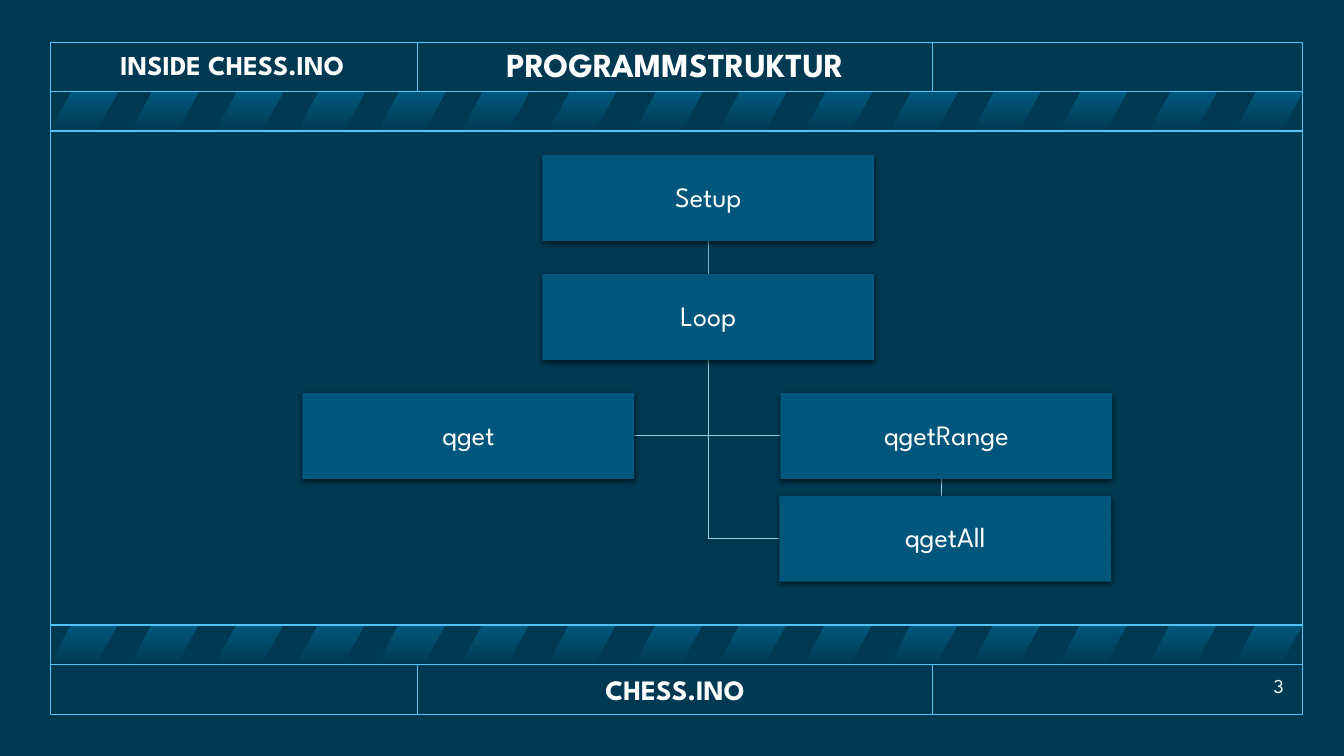
from lxml.etree import SubElement
from pptx import Presentation
from pptx.dml.color import RGBColor
from pptx.enum.shapes import MSO_CONNECTOR, MSO_SHAPE
from pptx.enum.text import MSO_ANCHOR, MSO_AUTO_SIZE, PP_ALIGN
from pptx.oxml.ns import qn
from pptx.util import Inches, Pt

prs = Presentation()
prs.slide_width, prs.slide_height = Inches(13.33), Inches(7.5)
s = prs.slides.add_slide(prs.slide_layouts[5])
shapes = s.shapes
rgb = RGBColor.from_string
s.background.fill.solid()
s.background.fill.fore_color.rgb = rgb("003A52")


def stroke(sp, color):
    sp.line.color.rgb = rgb(color)
    sp.line.width = Pt(1)
    SubElement(sp._element.spPr, qn("a:effectLst"))


def write(sp, text, size, bold=False, align=PP_ALIGN.CENTER):
    tf = sp.text_frame
    tf.text = text
    tf.word_wrap = True
    tf.auto_size = MSO_AUTO_SIZE.NONE
    tf.vertical_anchor = MSO_ANCHOR.MIDDLE
    p = tf.paragraphs[0]
    p.alignment = align
    p.line_spacing = 0.9
    font = p.runs[0].font
    font.name, font.size, font.bold = "League Spartan", Pt(size), bold
    font.color.rgb = rgb("FFFFFF")


# Frame grid: column edges and row edges
left, col1, col2, right = 0.5, 4.14, 9.25, 12.92
top, head, band_top, band_low, foot, bottom = 0.42, 0.91, 1.3, 6.2, 6.59, 7.09

frame = shapes.add_shape(MSO_SHAPE.RECTANGLE, Inches(left), Inches(top),
                         Inches(right - left), Inches(bottom - top))
frame.fill.background()
stroke(frame, "51C3F9")

# Striped bands
stripe_lefts = [0.5, 1.3, 2.14, 2.95, 3.75, 4.58, 5.44, 6.3,
                7.13, 7.98, 8.83, 9.65, 10.51, 11.4, 12.25]
for y in (head, 6.19):
    for x in stripe_lefts:
        stripe = shapes.add_shape(MSO_SHAPE.PARALLELOGRAM, Inches(x), Inches(y),
                                  Inches(0.67), Inches(0.39))
        stripe.adjustments[0] = 0.54
        stripe.fill.gradient()
        stripe.fill.gradient_angle = 90
        for stop, color in zip(stripe.fill.gradient_stops, ("003A52", "00587D")):
            stop.color.rgb = rgb(color)
        stripe.line.fill.background()
        stripe.shadow.inherit = False

# Diagram boxes: name, left, top
box_w, box_h = 3.29, 0.85
boxes = [("Setup", 5.38, 1.54), ("Loop", 5.38, 2.72), ("qget", 3, 3.9),
         ("qgetRange", 7.74, 3.9), ("qgetAll", 7.73, 4.92)]
trunk, loop_end = 7.03, 3.57

# Straight lines: grid rules, then diagram links
lines = [(left, y, right, y, "51C3F9") for y in (head, band_top, band_low, foot)]
lines += [(x, y1, x, y2, "51C3F9") for x in (col1, col2)
          for y1, y2 in ((top, head), (foot, bottom))]
lines += [(9.34, 4.54, 9.34, 5.17, "A0CEDF"), (trunk, 2.39, trunk, 2.72, "73BCD4")]
for x1, y1, x2, y2, color in lines:
    line = shapes.add_connector(MSO_CONNECTOR.STRAIGHT, Inches(x1), Inches(y1),
                                Inches(x2), Inches(y2))
    stroke(line, color)

# Elbow links from Loop to its functions
for x, y in ((7.73, 5.34), (7.74, 4.32), (6.29, 4.32)):
    path = shapes.build_freeform(Inches(trunk), Inches(loop_end))
    path.add_line_segments([(Inches(trunk), Inches(y)), (Inches(x), Inches(y))],
                           close=False)
    elbow = path.convert_to_shape()
    elbow.fill.background()
    stroke(elbow, "A1CEDF")

# Boxes with a soft shadow below
for name, x, y in boxes:
    box = shapes.add_shape(MSO_SHAPE.RECTANGLE, Inches(x), Inches(y),
                           Inches(box_w), Inches(box_h))
    box.fill.solid()
    box.fill.fore_color.rgb = rgb("00577B")
    box.line.fill.background()
    effects = SubElement(box._element.spPr, qn("a:effectLst"))
    shadow = SubElement(effects, qn("a:outerShdw"), blurRad=str(Pt(4.5)),
                        dist=str(Pt(1.5)), dir="5400000", algn="ctr", rotWithShape="0")
    black = SubElement(shadow, qn("a:srgbClr"), val="000000")
    SubElement(black, qn("a:alpha"), val="63000")
    tf = box.text_frame
    tf.margin_left = tf.margin_right = tf.margin_top = tf.margin_bottom = Inches(0.01)
    write(box, name, 20)

# Title
title = shapes.title
title.left, title.top = Inches(4.15), Inches(0.43)
title.width, title.height = Inches(5.09), Inches(0.47)
write(title, "PROGRAMMSTRUKTUR", 24, True)

# Header, footer and page number
for text, x, y, w, h, size, bold, align in (
        ("CHESS.INO", 4.15, 6.62, 5.09, 0.47, 20, True, PP_ALIGN.CENTER),
        ("INSIDE CHESS.INO", 0.48, 0.41, 3.65, 0.5, 19.5, True, PP_ALIGN.CENTER),
        ("3", 11.91, 6.67, 0.92, 0.3, 14, False, PP_ALIGN.RIGHT)):
    label = shapes.add_textbox(Inches(x), Inches(y), Inches(w), Inches(h))
    write(label, text, size, bold, align)

prs.save("out.pptx")
